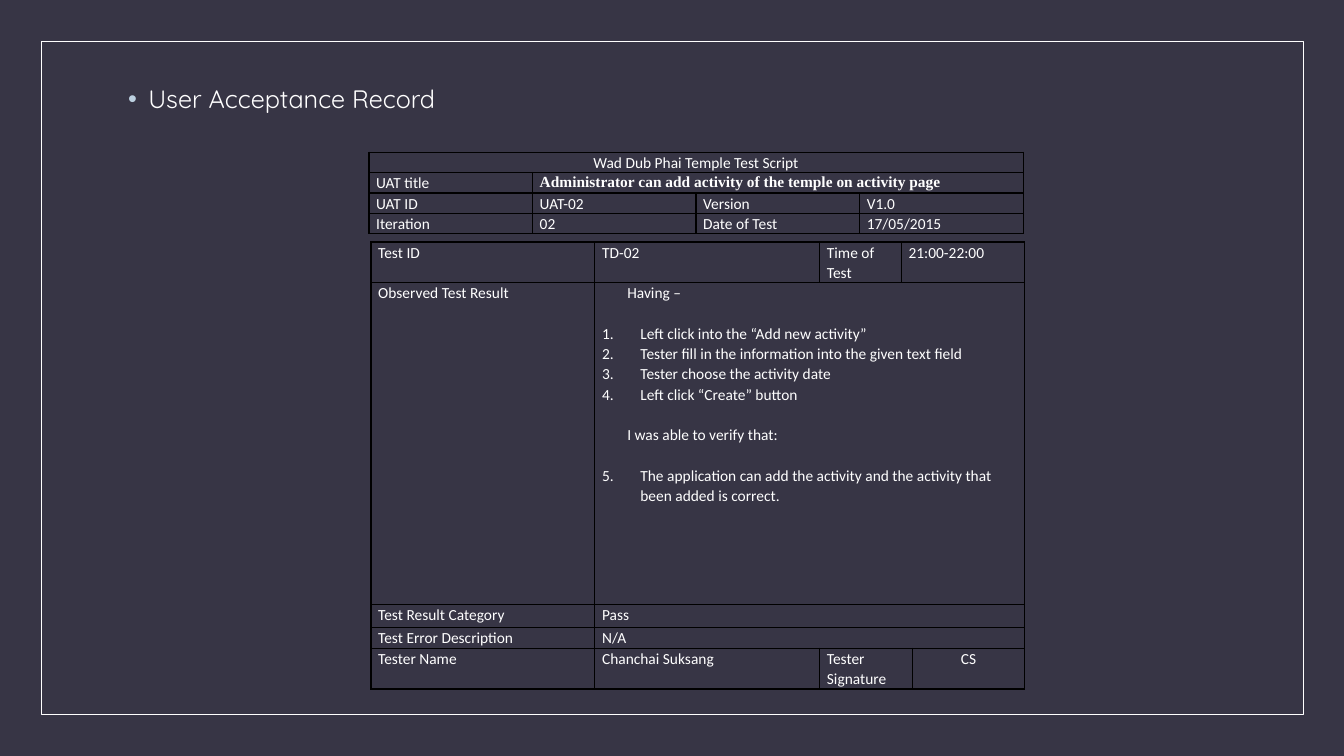
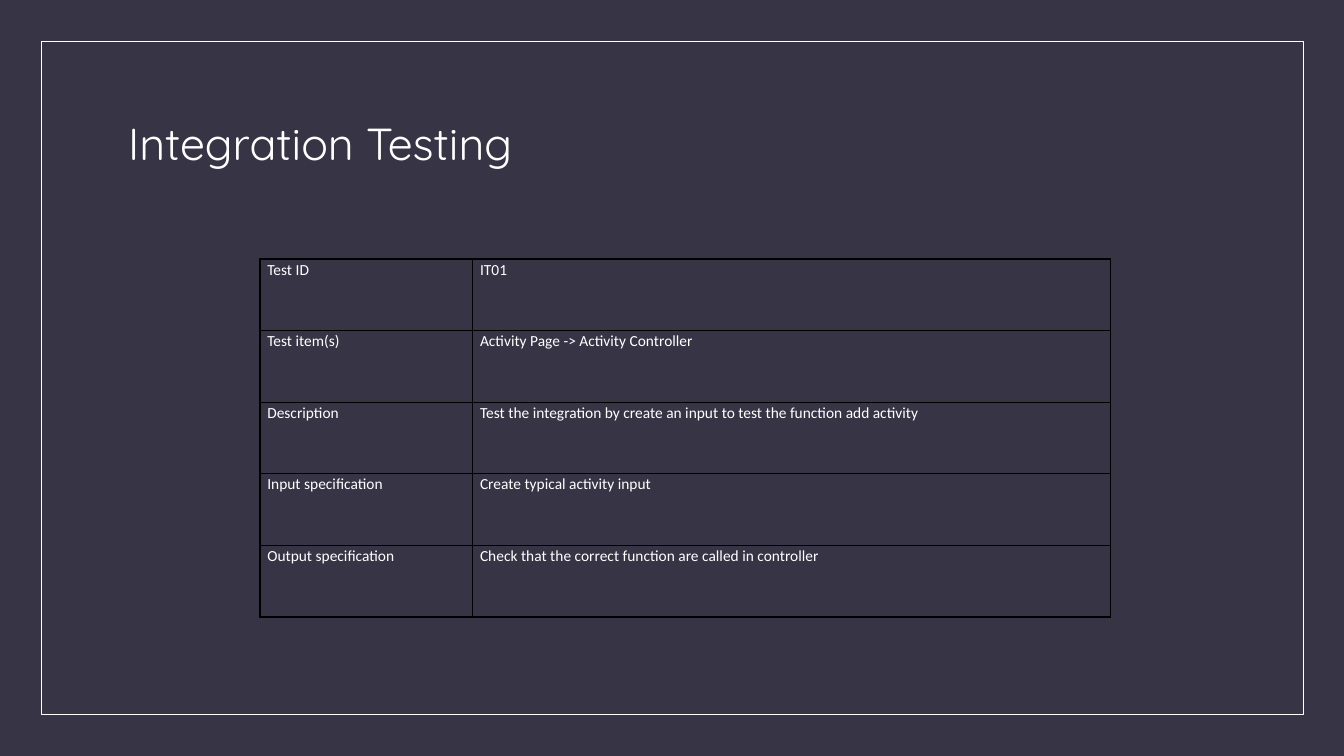
from lxml import etree
from pptx import Presentation as Deck
from pptx.dml.color import RGBColor as RGB
from pptx.enum.shapes import MSO_SHAPE as Kind
from pptx.enum.text import MSO_ANCHOR as Anchor, PP_ALIGN as Align
from pptx.oxml import parse_xml
from pptx.oxml.ns import nsdecls, qn
from pptx.util import Inches, Pt

DARK = RGB(0x37, 0x35, 0x45)
WHITE = RGB(0xFF, 0xFF, 0xFF)
BLACK = RGB(0x00, 0x00, 0x00)
PALE = RGB(0xBC, 0xD0, 0xE0)

deck = Deck()
deck.slide_width, deck.slide_height = Inches(13.33), Inches(7.5)
X, Y = deck.slide_width / 100, deck.slide_height / 100

HEAD = {"name": "Quicksand", "size": Pt(32)}
ITEM = {"name": "Quicksand", "size": Pt(18)}
CELL = {"name": "Calibri", "size": Pt(11)}
BOLD = {"name": "Times New Roman", "bold": True}
PAD = {"margin_left": int(X * 0.54), "margin_right": int(X * 0.54),
       "margin_top": 0, "margin_bottom": 0}
PLAIN = {"first_row": False, "horz_banding": False}


def write(para, text, font, **form):
    run = para.add_run()
    run.text = text
    run.font.color.rgb = WHITE
    for target, values in ((run.font, font), (para, form)):
        for key, value in values.items():
            setattr(target, key, value)


def grid(slide, left, top, cols, rows, cells):
    shape = slide.shapes.add_table(
        len(rows), len(cols), int(X * left), int(Y * top),
        int(X * sum(cols)), int(Y * sum(rows)))
    table = shape.table
    for key, value in PLAIN.items():
        setattr(table, key, value)
    for col, share in zip(table.columns, cols):
        col.width = int(X * share)
    for row, share in zip(table.rows, rows):
        row.height = int(Y * share)
    for r, line in enumerate(cells):
        for c, text in enumerate(line):
            cell = table.cell(r, c)
            for key, value in PAD.items():
                setattr(cell, key, value)
            prop = cell._tc.get_or_add_tcPr()
            for side in "LRTB":
                prop.append(parse_xml(
                    f'<a:ln{side} {nsdecls("a")} w="12700"><a:solidFill>'
                    f'<a:srgbClr val="{BLACK}"/></a:solidFill></a:ln{side}>'))
            cell.fill.background()
            if text:
                write(cell.text_frame.paragraphs[0], text, CELL, line_spacing=1.07)
            if text is not None:
                end = c
                while end + 1 < len(line) and line[end + 1] is None:
                    end += 1
                if end > c:
                    cell.merge(table.cell(r, end))
    return table


log = deck.slides.add_slide(deck.slide_layouts[1])
test = deck.slides.add_slide(deck.slide_layouts[5])
master = deck.slide_master
master.background.fill.solid()
master.background.fill.fore_color.rgb = DARK

frame = test.shapes.add_shape(Kind.RECTANGLE, 0, 0, 0, 0)
frame.shadow.inherit = False
frame.fill.background()
frame.line.color.rgb = WHITE
frame.line.width = Pt(0.5)
blank = log.shapes.title.element
blank.getparent().remove(blank)
body, title = log.placeholders[1], test.shapes.title

for shape, box in (
    (frame, (3.07, 5.47, 93.9, 89.07)),
    (body, (8.78, 10.4, 82.52, 77.6)),
    (title, (8.78, 9.33, 82.52, 20)),
):
    for key, unit, share in zip(("left", "top", "width", "height"), (X, Y, X, Y), box):
        setattr(shape, key, int(unit * share))
master.element.cSld.spTree.insert(2, frame.element)

item = body.text_frame.paragraphs[0]
write(item, "User Acceptance Record", ITEM, space_before=Pt(9))
prop = item._p.get_or_add_pPr()
prop.set("marL", str(Inches(0.2)))
prop.set("indent", str(-Inches(0.2)))
tint = etree.SubElement(prop, qn("a:buClr"))
etree.SubElement(tint, qn("a:srgbClr")).set("val", str(PALE))
etree.SubElement(prop, qn("a:buChar")).set("char", "•")

title.text_frame.vertical_anchor = Anchor.MIDDLE
write(title.text_frame.paragraphs[0], "Integration Testing", HEAD,
      alignment=Align.LEFT, line_spacing=0.9)

result = grid(log, 27.6, 32, (16.66, 16.73, 6.08, 0.83, 8.33),
              (5.4, 42.55, 3.1, 2.7, 5.4), (
    ("Test ID", "TD-02", "Time of Test", "21:00-22:00", None),
    ("Observed Test Result", "", None, None, None),
    ("Test Result Category", "Pass", None, None, None),
    ("Test Error Description", "N/A", None, None, None),
    ("Tester Name", "Chanchai Suksang", "Tester Signature", None, "CS"),
))
result.cell(4, 4).text_frame.paragraphs[0].alignment = Align.CENTER

steps = result.cell(1, 1).text_frame
for n, (text, start, gap) in enumerate((
    ("Having –", 0, 0),
    ("Left click into the “Add new activity”", 1, 14.4),
    ("Tester fill in the information into the given text field", 1, 0),
    ("Tester choose the activity date", 1, 0),
    ("Left click “Create” button", 1, 0),
    ("I was able to verify that:", 0, 14.4),
    ("The application can add the activity and the activity that been added is correct.", 5, 14.4),
)):
    para = steps.add_paragraph() if n else steps.paragraphs[0]
    write(para, text, CELL, line_spacing=1.07, space_before=Pt(gap))
    prop = para._p.get_or_add_pPr()
    edge, hang = (0.38, 0.38) if start else (0.5, 0.25)
    prop.set("marL", str(Inches(edge)))
    prop.set("indent", str(-Inches(hang)))
    if start:
        mark = etree.SubElement(prop, qn("a:buAutoNum"))
        mark.set("type", "arabicPeriod")
        mark.set("startAt", str(start))

script = grid(log, 27.45, 20.13, [12.17] * 4, [2.7] * 4, (
    ("Wad Dub Phai Temple Test Script", None, None, None),
    ("UAT title", "Administrator can add activity of the temple on activity page", None, None),
    ("UAT ID", "UAT-02", "Version", "V1.0"),
    ("Iteration", "02", "Date of Test", "17/05/2015"),
))
script.cell(0, 0).text_frame.paragraphs[0].alignment = Align.CENTER
for key, value in BOLD.items():
    setattr(script.cell(1, 1).text_frame.paragraphs[0].runs[0].font, key, value)

grid(test, 19.35, 34.27, (15.83, 47.47), [9.47] * 5, (
    ("Test ID", "IT01"),
    ("Test item(s)", "Activity Page -> Activity Controller"),
    ("Description", "Test the integration by create an input to test the function add activity"),
    ("Input specification", "Create typical activity input"),
    ("Output specification", "Check that the correct function are called in controller"),
))

deck.save("out.pptx")
